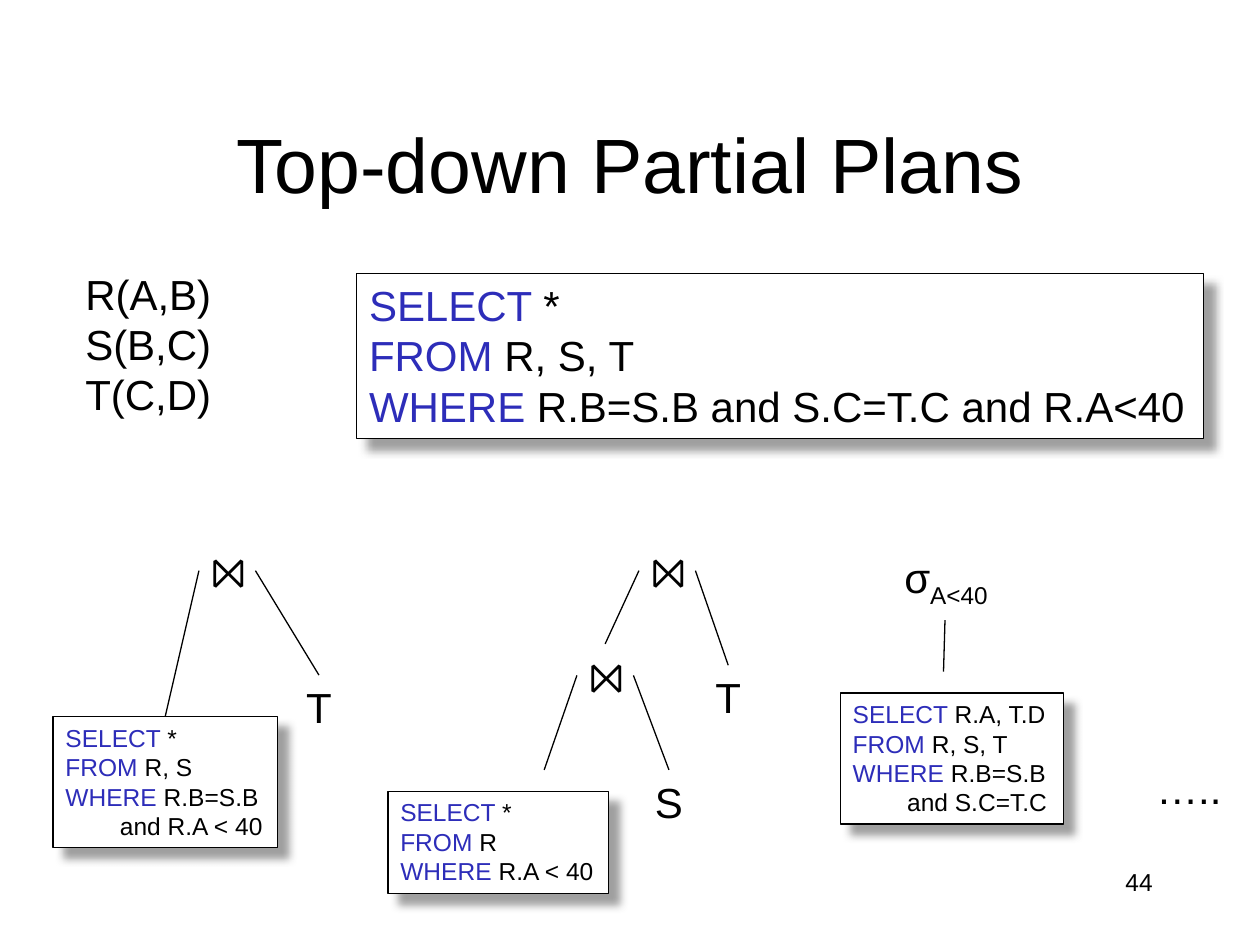
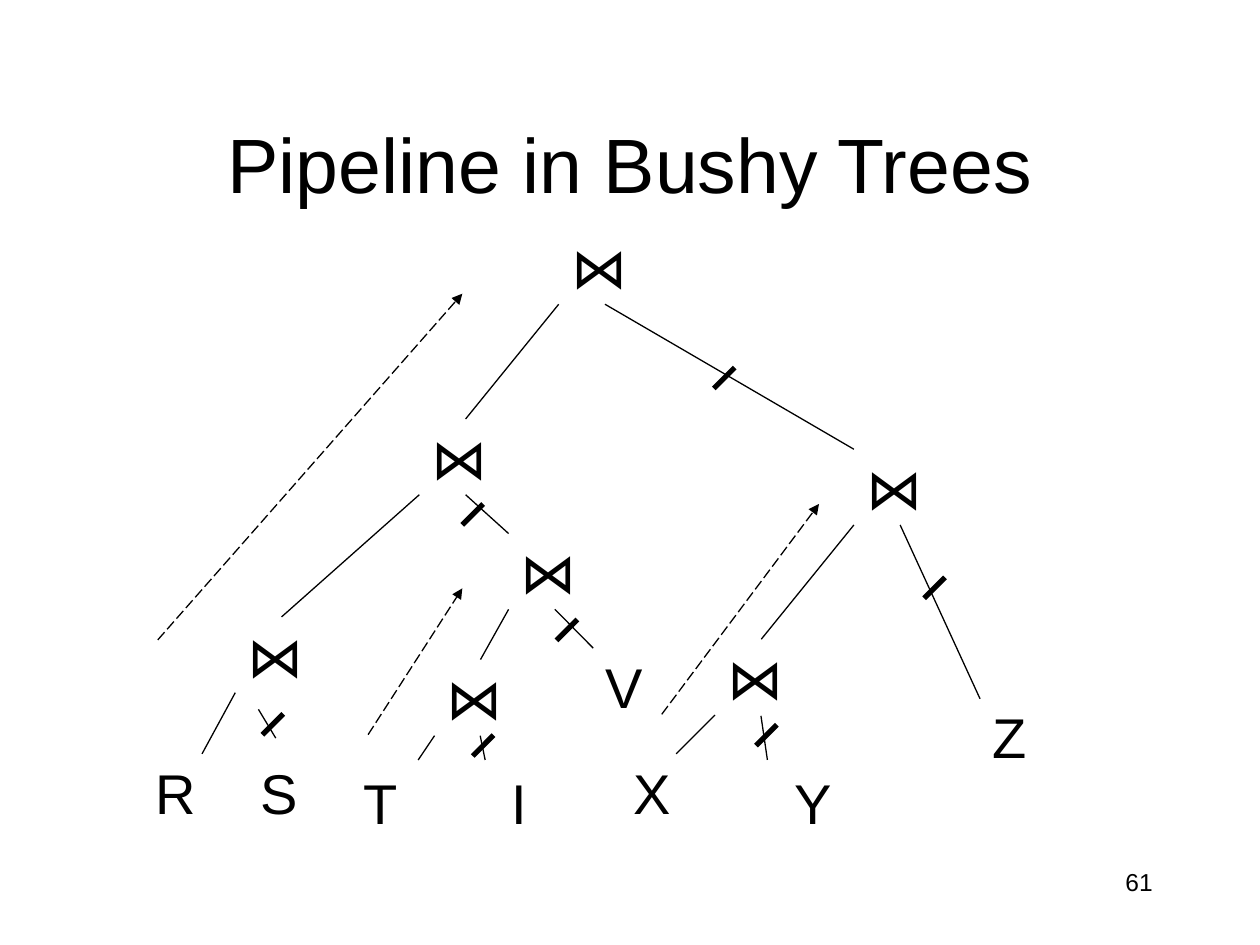
from dataclasses import dataclass

from lxml.etree import SubElement
from pptx import Presentation
from pptx.dml.color import RGBColor
from pptx.enum.dml import MSO_LINE
from pptx.enum.shapes import MSO_CONNECTOR, MSO_SHAPE
from pptx.enum.text import MSO_ANCHOR, MSO_AUTO_SIZE, PP_ALIGN
from pptx.oxml import parse_xml
from pptx.oxml.ns import nsdecls, qn
from pptx.util import Cm, Pt


@dataclass(frozen=True)
class Theme:
    font: str = "Arial"
    ink: RGBColor = RGBColor(0x00, 0x00, 0x00)
    paper: RGBColor = RGBColor(0xFF, 0xFF, 0xFF)
    keyword: RGBColor = RGBColor(0x2D, 0x2D, 0xB9)
    shadow: str = "808080"
    title: int = 44
    node: int = 32
    body: int = 24
    small: int = 14
    thin: float = 0.75
    thick: float = 3


theme = Theme()


def write_text(box, lines, size, align=PP_ALIGN.LEFT, anchor=MSO_ANCHOR.TOP, wrap=False):
    """Fill a box with lines, each a list of (text, colour) spans; unwrapped boxes fit their text."""
    frame = box.text_frame
    frame.word_wrap = wrap
    frame.auto_size = MSO_AUTO_SIZE.NONE if wrap else MSO_AUTO_SIZE.SHAPE_TO_FIT_TEXT
    frame.vertical_anchor = anchor
    for index, spans in enumerate(lines):
        para = frame.add_paragraph() if index else frame.paragraphs[0]
        para.alignment = align
        for text, colour in spans:
            span = para.add_run()
            span.text = text
            span.font.name = theme.font
            span.font.size = Pt(size)
            span.font.color.rgb = colour


def draw_line(page, start, end, width=theme.thin):
    points = [Cm(value) for value in (*start, *end)]
    line = page.shapes.add_connector(MSO_CONNECTOR.STRAIGHT, *points)
    line.line.color.rgb = theme.ink
    line.line.width = Pt(width)
    SubElement(line._element.spPr, qn("a:effectLst"))
    return line


deck = Presentation()
deck.slide_width = Cm(25.4)
deck.slide_height = Cm(19.05)

# Title and page number of every slide
pages = []
for title, number in (("Top-down Partial Plans", "44"), ("Pipeline in Bushy Trees", "61")):
    page = deck.slides.add_slide(deck.slide_layouts[6])
    box = page.shapes.add_textbox(Cm(1.91), Cm(1.7), Cm(21.59), Cm(3.18))
    write_text(box, [[(title, theme.ink)]], theme.title, PP_ALIGN.CENTER, MSO_ANCHOR.MIDDLE, True)
    box = page.shapes.add_textbox(Cm(18.21), Cm(17.35), Cm(5.28), Cm(1.27))
    write_text(box, [[(number, theme.ink)]], theme.small, PP_ALIGN.RIGHT, wrap=True)
    pages.append(page)
plans, bushy = pages

# Partial plans: labels
labels = {}
for name, text, left, top, width, height in (
    ("schema", "R(A,B)\nS(B,C)\nT(C,D)", 1.47, 5.28, 3.05, 3.3),
    ("first join", "⨝", 4.01, 10.87, 1.14, 1.27),
    ("first T", "T", 5.92, 13.61, 1.02, 1.27),
    ("second join", "⨝", 12.88, 10.87, 1.14, 1.27),
    ("inner join", "⨝", 11.63, 12.98, 1.14, 1.27),
    ("second T", "T", 14.17, 13.41, 1.02, 1.27),
    ("S", "S", 12.95, 15.52, 1.07, 1.27),
    ("selection", "σ", 17.98, 11, 2.36, 1.27),
    ("more", "…..", 23.06, 15.24, 1.83, 1.27),
):
    box = plans.shapes.add_textbox(Cm(left), Cm(top), Cm(width), Cm(height))
    spans = [(text, theme.ink)]
    if name == "selection":
        spans.append(("A<40", theme.ink))
    lines = [[(row, theme.ink)] for row in text.split("\n")] if "\n" in text else [spans]
    write_text(box, lines, theme.body)
    labels[name] = box
condition = labels["selection"].text_frame.paragraphs[0].runs[1]
condition._r.get_or_add_rPr().set("baseline", "-25000")

# Partial plans: queries, each line a keyword and the rest
queries = []
for left, top, width, height, size, clauses in (
    (7.19, 5.51, 17.07, 3.33, theme.body,
     (("SELECT ", "*"), ("FROM", " R, S, T"), ("WHERE", " R.B=S.B and S.C=T.C and R.A<40"))),
    (16.94, 13.97, 4.5, 2.64, theme.small,
     (("SELECT ", "R.A, T.D"), ("FROM", " R, S, T"), ("WHERE", " R.B=S.B"),
      ("", "        and S.C=T.C"))),
    (1.07, 14.45, 4.52, 2.64, theme.small,
     (("SELECT ", "*"), ("FROM", " R, S"), ("WHERE", " R.B=S.B"),
      ("", "        and R.A < 40"))),
    (7.82, 15.95, 4.45, 2.06, theme.small,
     (("SELECT ", "*"), ("FROM", " R"), ("WHERE", " R.A < 40"))),
):
    box = plans.shapes.add_shape(MSO_SHAPE.RECTANGLE, Cm(left), Cm(top), Cm(width), Cm(height))
    box.fill.solid()
    box.fill.fore_color.rgb = theme.paper
    box.line.color.rgb = theme.ink
    box.line.width = Pt(theme.thin)
    box._element.spPr.append(parse_xml(
        f'<a:effectLst {nsdecls("a")}><a:outerShdw blurRad="{Pt(5)}" dist="{Pt(8.5)}" '
        f'dir="2700000" algn="tl" rotWithShape="0"><a:srgbClr val="{theme.shadow}">'
        '<a:alpha val="75000"/></a:srgbClr></a:outerShdw></a:effectLst>'))
    lines = [[(text, colour) for text, colour in zip(clause, (theme.keyword, theme.ink)) if text]
             for clause in clauses]
    write_text(box, lines, size)
    queries.append(box)

# Partial plans: branches leave a join's side and reach the top of the child
TOP, LEFT, RIGHT = 0, 1, 3
for parent, side, child in (
    ("first join", LEFT, queries[2]),
    ("first join", RIGHT, labels["first T"]),
    ("second join", LEFT, labels["inner join"]),
    ("second join", RIGHT, labels["second T"]),
    ("inner join", LEFT, None),
    ("inner join", RIGHT, labels["S"]),
):
    branch = draw_line(plans, (0, 0), (10.97, 15.52))
    branch.begin_connect(labels[parent], side)
    if child is not None:
        branch.end_connect(child, TOP)
draw_line(plans, (19.05, 12.5), (19.02, 13.54))

# Bushy tree: joins and relations
JOIN, NODE_HEIGHT = "⋈", 2.16
nodes = {}
for name, text, left, top, width in (
    ("root", JOIN, 11.07, 4.29, 1.32),
    ("left", JOIN, 8.26, 8.13, 1.32),
    ("right", JOIN, 17.02, 8.74, 1.32),
    ("middle", JOIN, 10.06, 10.44, 1.32),
    ("RS", JOIN, 4.55, 12.12, 1.32),
    ("TI", JOIN, 8.56, 12.98, 1.32),
    ("XY", JOIN, 14.22, 12.57, 1.32),
    ("R", "R", 2.64, 14.88, 1.68),
    ("S", "S", 4.78, 14.88, 1.57),
    ("T", "T", 6.86, 15.09, 1.5),
    ("I", "I", 9.93, 15.09, 0.97),
    ("V", "V", 11.73, 12.75, 1.57),
    ("X", "X", 12.29, 14.88, 1.57),
    ("Y", "Y", 15.54, 15.09, 1.57),
    ("Z", "Z", 19.51, 13.77, 1.68),
):
    oval = bushy.shapes.add_shape(MSO_SHAPE.OVAL, Cm(left), Cm(top), Cm(width), Cm(NODE_HEIGHT))
    oval.shadow.inherit = False
    oval.fill.background()
    oval.line.fill.background()
    write_text(oval, [[(text, theme.ink)]], theme.node, PP_ALIGN.CENTER, MSO_ANCHOR.MIDDLE)
    nodes[name] = (left + width / 2, top + NODE_HEIGHT / 2, width / 2)

# Bushy tree: edges run between the diagonal points of two ovals
DIAGONAL = 0.5 ** 0.5
rise = NODE_HEIGHT / 2 * DIAGONAL
for parent, child, side in (
    ("root", "left", -1), ("left", "RS", -1), ("RS", "R", -1),
    ("right", "XY", -1), ("XY", "X", -1), ("middle", "TI", -1),
    ("root", "right", 1), ("left", "middle", 1), ("middle", "V", 1), ("right", "Z", 1),
):
    x, y, radius = nodes[parent]
    child_x, child_y, child_radius = nodes[child]
    draw_line(bushy, (x + side * radius * DIAGONAL, y + rise),
              (child_x - side * child_radius * DIAGONAL, child_y - rise))

# Short edges down to S, T, I and Y
for start, end in (
    ((5.21, 14.3), (5.56, 14.88)),
    ((8.76, 14.83), (8.43, 15.32)),
    ((9.68, 14.83), (9.78, 15.32)),
    ((15.34, 14.43), (15.47, 15.32)),
):
    draw_line(bushy, start, end)

# Bars that break the pipeline
HALF_BAR = 0.21
for x, y in ((9.53, 10.37), (14.6, 7.62), (5.5, 14.6), (9.74, 15.03),
             (15.45, 14.82), (18.84, 11.85), (11.43, 12.7)):
    draw_line(bushy, (x + HALF_BAR, y - HALF_BAR), (x - HALF_BAR, y + HALF_BAR), theme.thick)

# Pipeline arrows
for start, end in (
    ((3.18, 12.9), (9.32, 5.92)),
    ((7.42, 14.81), (9.32, 11.86)),
    ((13.34, 14.4), (16.51, 10.16)),
):
    arrow = draw_line(bushy, start, end)
    arrow.line.dash_style = MSO_LINE.LONG_DASH
    SubElement(arrow.line._get_or_add_ln(), qn("a:tailEnd"), type="triangle")

deck.save("out.pptx")
